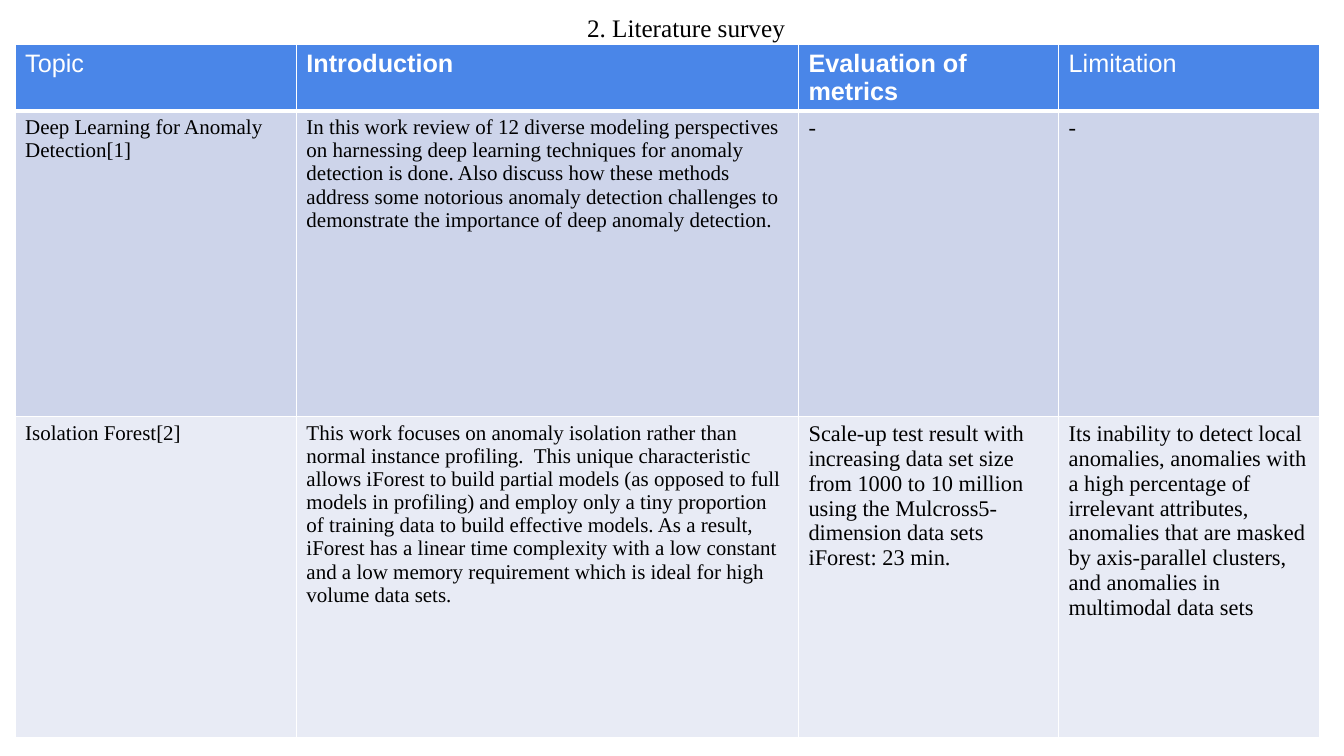
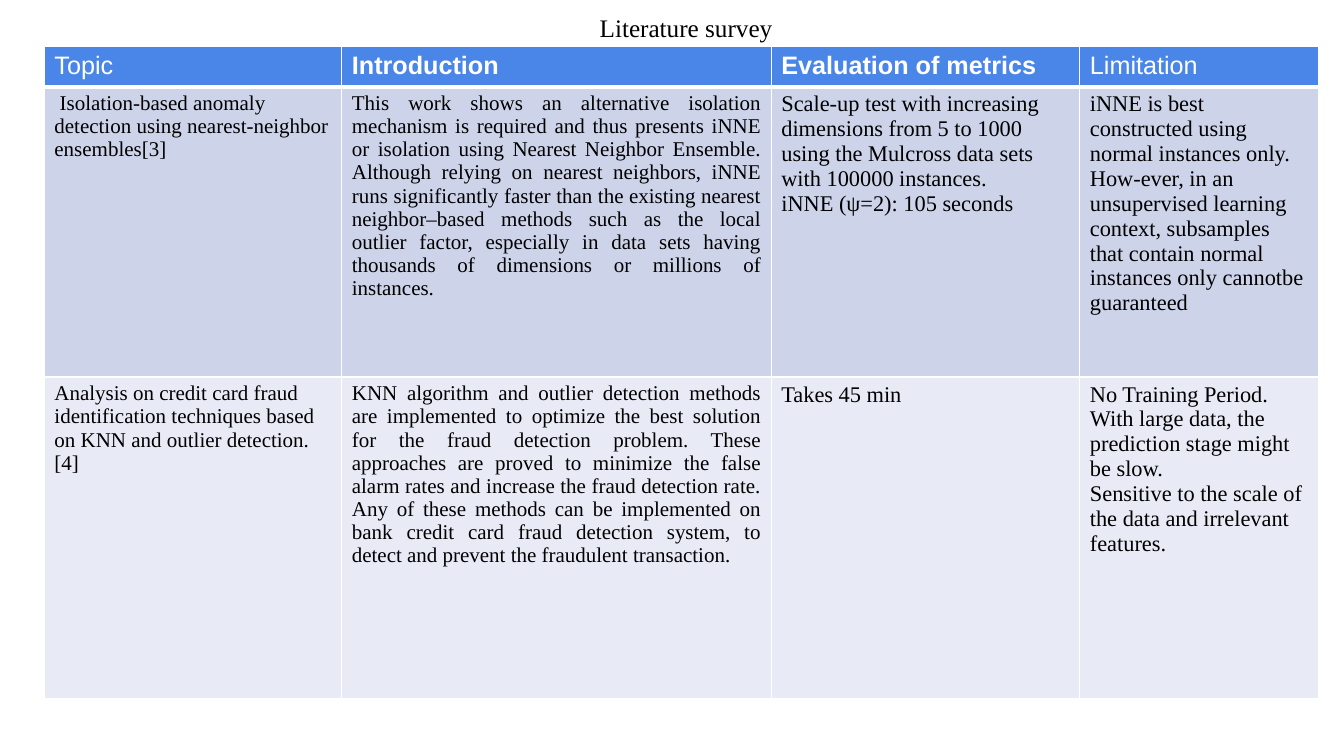
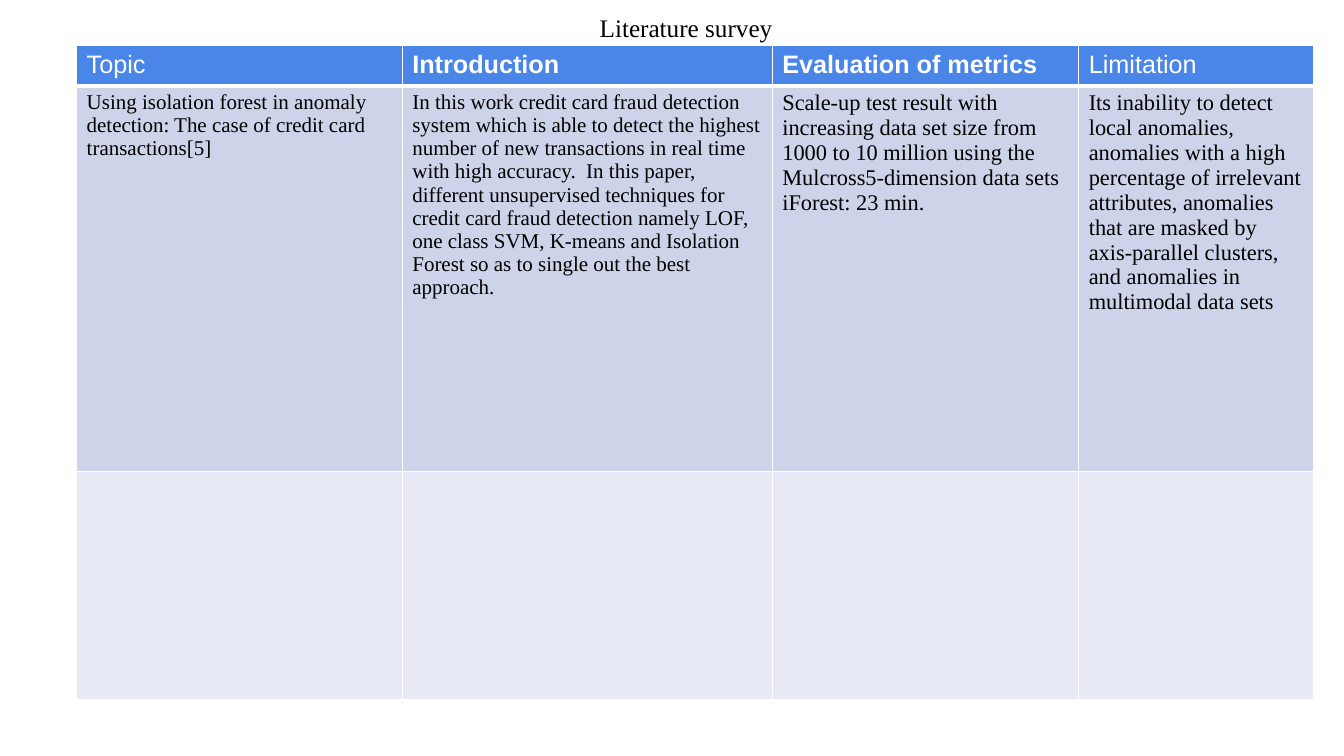
from pptx import Presentation
from pptx.dml.color import RGBColor as RGB
from pptx.enum.text import MSO_AUTO_SIZE as AutoSize, PP_ALIGN as Align
from pptx.oxml.ns import qn
from pptx.util import Inches, Pt
from lxml import etree

# Theme: colours, type and header labels shared by every slide
SERIF, SANS = "Times New Roman", "Arial"
THEME = {
    "black": RGB(0, 0, 0),
    "white": RGB(255, 255, 255),
    "fills": [RGB.from_string(c) for c in ("4A86E8", "CDD4EA", "E8EBF5")],
    "title": {"name": SERIF, "size": Pt(18)},
    "header": {"name": SANS, "size": Pt(18)},
    "body": {"name": SERIF, "bold": False},
    "body_sizes": [Pt(15), Pt(15), Pt(16), Pt(16)],
    "border": 1,
    "header_rule": 3,
}
HEADER = ["Topic", "Introduction", "Evaluation of metrics", "Limitation"]
BOLD_HEADERS = HEADER[1:3]

# Content
FOREST_METRICS = (
    "Scale-up test result with increasing data set size from 1000 to 10 million "
    "using the Mulcross5-dimension data sets iForest: 23 min.")
FOREST_LIMITS = (
    "Its inability to detect local anomalies, anomalies with a high percentage of "
    "irrelevant attributes, anomalies that are masked by axis-parallel clusters, "
    "and anomalies in multimodal data sets")

SLIDES = [
    {
        "title": "2. Literature survey",
        "at": (0.15, 0.44),
        "cols": [2.79, 4.98, 2.58, 2.59],
        "rows": [0.4, 3.03, 3.19],
        "intro_align": None,
        "papers": [
            ["Deep Learning for Anomaly Detection[1]",
             "In this work review of 12 diverse modeling perspectives on harnessing "
             "deep learning techniques for anomaly detection is done. Also discuss how "
             "these methods address some notorious anomaly detection challenges to "
             "demonstrate the importance of deep anomaly detection.",
             "-", "-"],
            ["Isolation Forest[2]",
             "This work focuses on anomaly isolation rather than normal instance "
             "profiling.  This unique characteristic allows iForest to build partial "
             "models (as opposed to full models in profiling) and employ only a tiny "
             "proportion of training data to build effective models. As a result, "
             "iForest has a linear time complexity with a low constant and a low memory "
             "requirement which is ideal for high volume data sets.",
             FOREST_METRICS, FOREST_LIMITS],
        ],
    },
    {
        "title": "Literature survey",
        "at": (0.44, 0.46),
        "cols": [2.95, 4.26, 3.06, 2.37],
        "rows": [0.36, 2.88, 3.19],
        "intro_align": Align.JUSTIFY,
        "papers": [
            [" Isolation-based anomaly detection using nearest-neighbor ensembles[3]",
             "This work shows an alternative isolation mechanism is required and thus "
             "presents iNNE or isolation using Nearest Neighbor Ensemble. Although "
             "relying on nearest neighbors, iNNE runs significantly faster than the "
             "existing nearest neighbor–based methods such as the local outlier factor, "
             "especially in data sets having thousands of dimensions or millions of "
             "instances.",
             "Scale-up test with increasing dimensions from 5 to 1000 using the Mulcross "
             "data sets with 100000 instances.\niNNE (ψ=2): 105 seconds",
             "iNNE is best constructed using normal instances only. How-ever, in an "
             "unsupervised learning context, subsamples that contain normal instances "
             "only cannotbe guaranteed"],
            ["Analysis on credit card fraud identification techniques based on KNN and "
             "outlier detection.\n[4]",
             "KNN algorithm and outlier detection methods are implemented to optimize "
             "the best solution for the fraud detection problem. These approaches are "
             "proved to minimize the false alarm rates and increase the fraud detection "
             "rate. Any of these methods can be implemented on bank credit card fraud "
             "detection system, to detect and prevent the fraudulent transaction.",
             "Takes 45 min",
             "No Training Period.\nWith large data, the prediction stage might be slow.\n"
             "Sensitive to the scale of the data and irrelevant features."],
        ],
    },
    {
        "title": "Literature survey",
        "at": (0.76, 0.45),
        "cols": [3.23, 3.67, 3.04, 2.33],
        "rows": [0.4, 3.83, 2.26],
        "intro_align": None,
        "papers": [
            ["Using isolation forest in anomaly detection: The case of credit card "
             "transactions[5]",
             "In this work credit card fraud detection system which is able to detect "
             "the highest number of new transactions in real time with high accuracy.  "
             "In this paper, different unsupervised techniques for credit card fraud "
             "detection namely LOF, one class SVM, K-means and Isolation Forest so as to "
             "single out the best approach.",
             FOREST_METRICS, FOREST_LIMITS],
            [""] * 4,
        ],
    },
]


def write(tf, text, font, color, align=None):
    """Fill a text frame, one paragraph per line of text."""
    tf.text = text
    for p in tf.paragraphs:
        p.alignment = align
        for r in p.runs:
            for key, value in font.items():
                setattr(r.font, key, value)
            r.font.color.rgb = color


def paint(cell, fill, bottom):
    """Give a cell its white borders and its fill."""
    tc_pr = cell._tc.get_or_add_tcPr()
    for side in "LRTB":
        width = bottom if side == "B" else THEME["border"]
        ln = etree.SubElement(tc_pr, qn(f"a:ln{side}"), w=str(Pt(width)))
        solid = etree.SubElement(ln, qn("a:solidFill"))
        etree.SubElement(solid, qn("a:srgbClr"), val=str(THEME["white"]))
    cell.fill.solid()
    cell.fill.fore_color.rgb = fill


prs = Presentation()
prs.slide_width, prs.slide_height = Inches(13.33), Inches(7.5)

for survey in SLIDES:
    s = prs.slides.add_slide(prs.slide_layouts[6])

    # Survey table
    cols, rows = survey["cols"], survey["rows"]
    left, top = survey["at"]
    table = s.shapes.add_table(len(rows), len(cols), Inches(left), Inches(top),
                               Inches(sum(cols)), Inches(sum(rows))).table
    for col, width in zip(table.columns, cols):
        col.width = Inches(width)
    for row, height in zip(table.rows, rows):
        row.height = Inches(height)

    for i, texts in enumerate([HEADER] + survey["papers"]):
        for j, text in enumerate(texts):
            cell = table.cell(i, j)
            if i == 0:
                bottom, color, align = THEME["header_rule"], THEME["white"], None
                font = {**THEME["header"], "bold": text in BOLD_HEADERS}
            else:
                bottom, color = THEME["border"], THEME["black"]
                align = survey["intro_align"] if j == 1 else None
                font = {**THEME["body"], "size": THEME["body_sizes"][j]}
            paint(cell, THEME["fills"][i], bottom)
            write(cell.text_frame, text, font, color, align)

    # Title above the table
    sp = s.shapes.add_textbox(Inches(0.67), Inches(0.05), Inches(12.27), Inches(0.4))
    tf = sp.text_frame
    tf.word_wrap = True
    tf.auto_size = AutoSize.SHAPE_TO_FIT_TEXT
    write(tf, survey["title"], THEME["title"], THEME["black"], Align.CENTER)
    tf.paragraphs[0].line_spacing = 1.07

prs.save("out.pptx")
